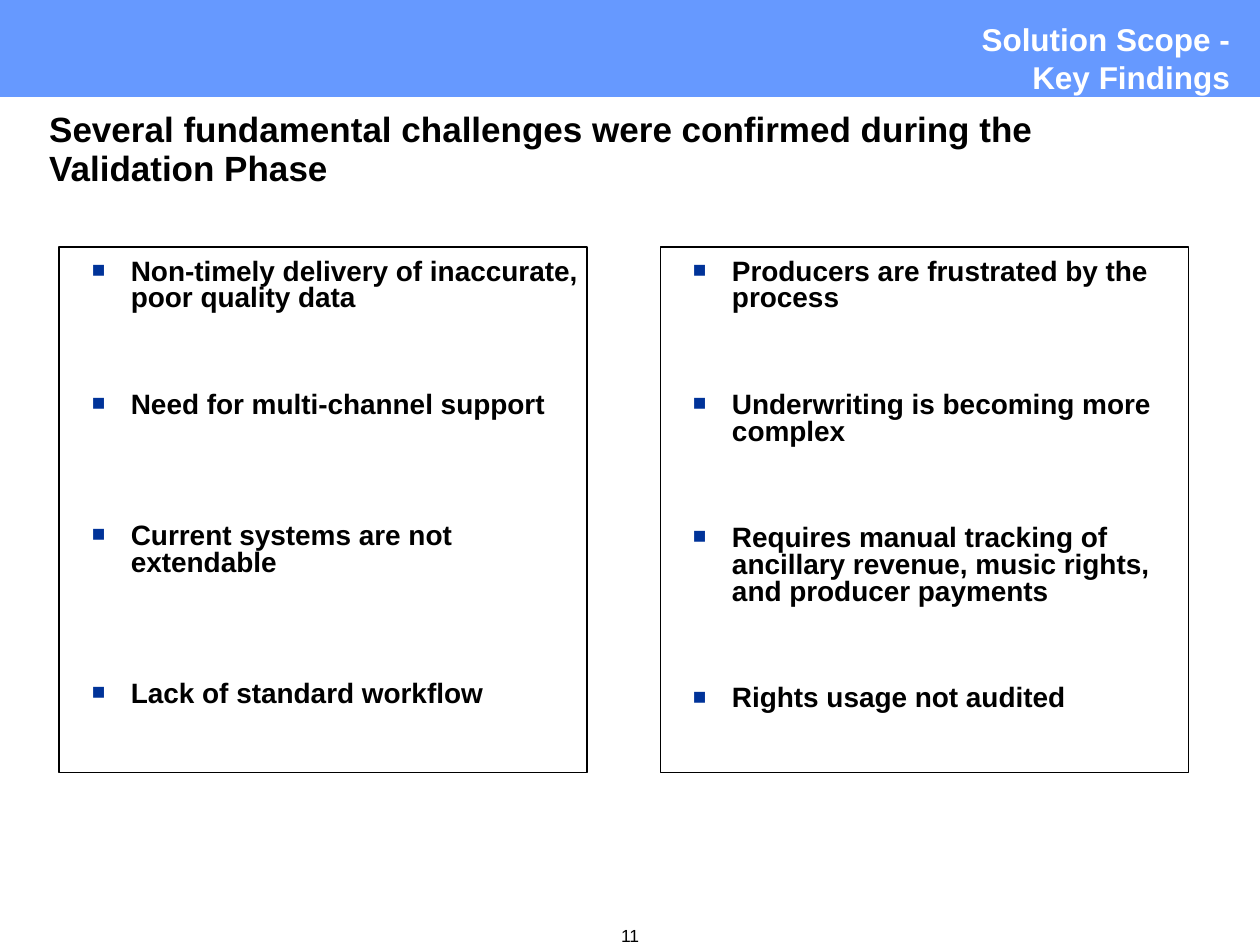
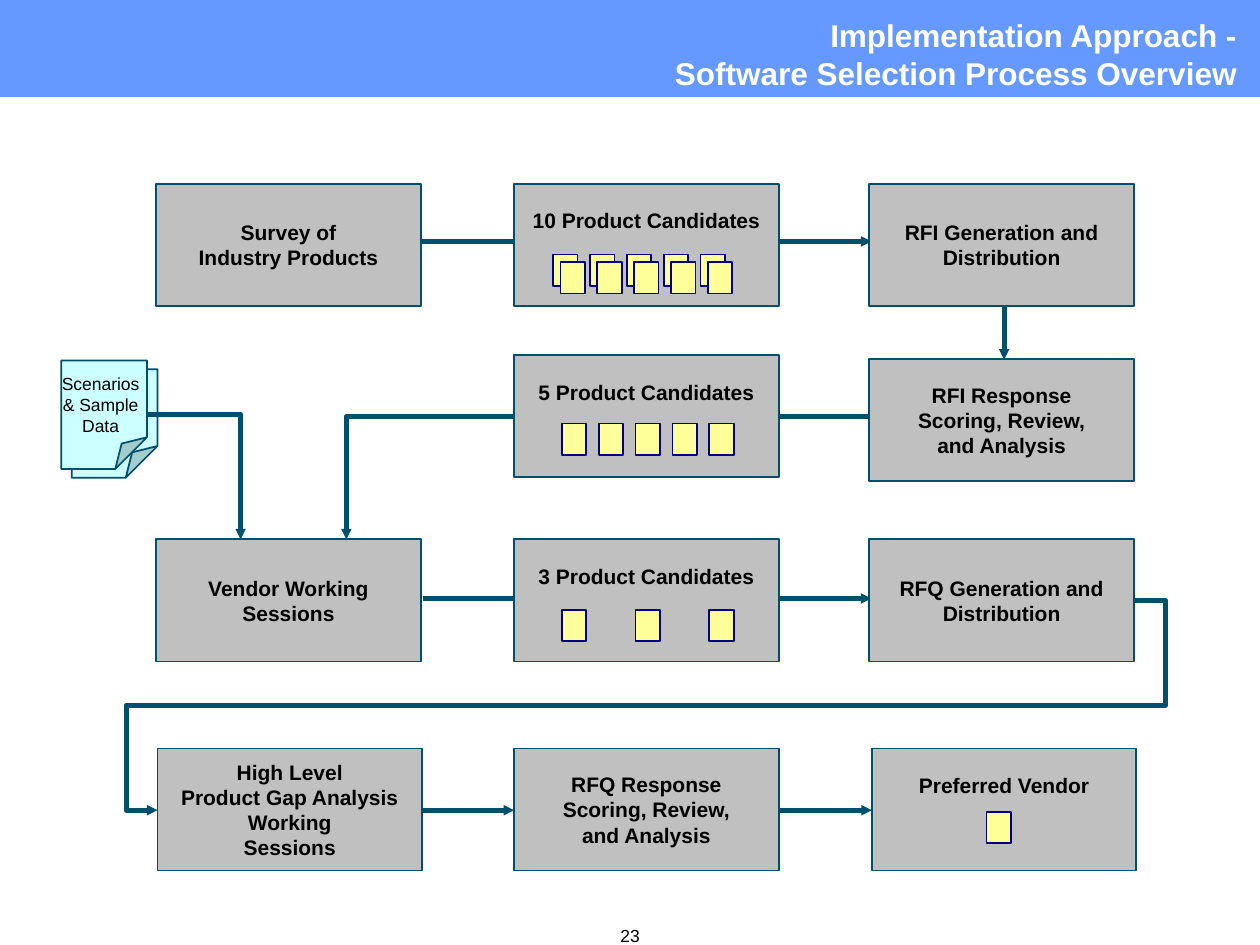
import pptx
import pptx.util
import pptx.dml.color
import pptx.enum.shapes
import pptx.enum.text
import pptx.oxml.ns
import lxml.etree

Pt = pptx.util.Pt
qn = pptx.oxml.ns.qn
RGB = pptx.dml.color.RGBColor.from_string
SHAPE = pptx.enum.shapes.MSO_SHAPE
CONNECTOR = pptx.enum.shapes.MSO_CONNECTOR
ALIGN = pptx.enum.text.PP_ALIGN
ANCHOR = pptx.enum.text.MSO_ANCHOR

COLORS = {
    "band": "6699FF", "heading": "FFFFFF", "text": "000000", "bullet": "003399",
    "step": "C0C0C0", "flow": "004F6D", "note": "CCFFFF",
    "product": "FFFF99", "product edge": "000080",
}
HEADING = {"size": 18, "color": "heading", "align": ALIGN.RIGHT}


def write(shape, lines, size, color="text", align=ALIGN.LEFT, bold=True, spacing=1.0, **frame):
    """Fill a shape with one paragraph per line; frame overrides the text frame settings."""
    text = shape.text_frame
    text.text = "\n".join(lines)
    settings = {
        "word_wrap": True, "auto_size": pptx.enum.text.MSO_AUTO_SIZE.NONE,
        "vertical_anchor": ANCHOR.TOP, "margin_left": Pt(7.2), "margin_right": Pt(7.2),
        "margin_top": Pt(3.6), "margin_bottom": Pt(3.6),
    }
    for name, value in {**settings, **frame}.items():
        setattr(text, name, value)
    for paragraph in text.paragraphs:
        for name, value in {"alignment": align, "line_spacing": spacing,
                            "space_before": Pt(0), "space_after": Pt(0)}.items():
            setattr(paragraph, name, value)
        for run in paragraph.runs:
            for name, value in {"name": "Arial", "size": Pt(size), "bold": bold}.items():
                setattr(run.font, name, value)
            run.font.color.rgb = RGB(COLORS[color])


def add_block(slide, kind, left, top, width, height, fill, edge=None):
    """Add a flat preset shape, outlined when an edge colour is given."""
    block = slide.shapes.add_shape(kind, Pt(left), Pt(top), Pt(width), Pt(height))
    block.shadow.inherit = False
    block.fill.solid()
    block.fill.fore_color.rgb = RGB(COLORS[fill])
    if edge:
        block.line.color.rgb = RGB(COLORS[edge])
        block.line.width = Pt(1)
    else:
        block.line.fill.background()
    return block


prs = pptx.Presentation()
prs.slide_width, prs.slide_height = Pt(720), Pt(540)
findings = prs.slides.add_slide(prs.slide_layouts[3])
process = prs.slides.add_slide(prs.slide_layouts[5])

# Shared parts: the band lives on the master, page numbers on each slide
band = add_block(findings, SHAPE.RECTANGLE, 0, 0, 720, 55.4, "band")
band.element.nvSpPr.cNvPr.set("id", "99")
prs.slide_master.element.cSld.spTree.insert(2, band.element)

for slide, number in ((findings, "11"), (process, "23")):
    page = slide.shapes.add_textbox(Pt(326.2), Pt(524.9), Pt(67.7), Pt(19.4))
    write(page, [number], 10, align=ALIGN.CENTER, bold=False)

# Key findings: section heading and headline
section = findings.shapes.add_textbox(Pt(89.3), Pt(7.9), Pt(630.7), Pt(50.4))
write(section, ["Solution Scope -", "Key Findings"], **HEADING)
section.text_frame.paragraphs[0]._p.get_or_add_pPr().set("marR", str(Pt(10)))

headline = findings.shapes.title
for name, value in {"left": 28.1, "top": 63.4, "width": 661.7, "height": 46}.items():
    setattr(headline, name, Pt(value))
write(headline, ["Several fundamental challenges were confirmed during the Validation Phase"],
      20, spacing=0.93, margin_left=0, margin_right=0, margin_top=0)

# Key findings: two framed lists, each item with its gap above
challenges = [
    (33.8, [("Non-timely delivery of inaccurate, poor quality data", 0),
            ("Need for multi-channel support", 45.4),
            ("Current systems are not extendable", 59.6),
            ("Lack of standard workflow", 59.6)]),
    (377.3, [("Producers are frustrated by the process", 0),
             ("Underwriting is becoming more complex", 45.4),
             ("Requires manual tracking of ancillary revenue, music rights, and producer payments", 45.4),
             ("Rights usage not audited", 45.4)]),
]
for column, (left, items) in zip(list(findings.placeholders)[1:], challenges):
    for name, value in {"left": left, "top": 141.1, "width": 301.7, "height": 300.2}.items():
        setattr(column, name, Pt(value))
    column.line.color.rgb = RGB(COLORS["text"])
    column.line.width = Pt(0.75)
    write(column, [item for item, gap in items], 16, spacing=0.8,
          margin_left=0, margin_right=0, margin_top=Pt(7.2), margin_bottom=Pt(7.2))
    for paragraph, (item, gap) in zip(column.text_frame.paragraphs, items):
        paragraph.space_before = Pt(gap)
        props = paragraph._p.get_or_add_pPr()
        props.set("marL", str(Pt(41)))
        props.set("indent", str(Pt(-22.3)))
        tint = lxml.etree.SubElement(props, qn("a:buClr"))
        lxml.etree.SubElement(tint, qn("a:srgbClr"), val=COLORS["bullet"])
        lxml.etree.SubElement(props, qn("a:buSzPct"), val="80000")
        lxml.etree.SubElement(props, qn("a:buFont"), typeface="Arial")
        lxml.etree.SubElement(props, qn("a:buChar"), char="■")

# Process overview: title in the band
title = process.shapes.title
for name, value in {"left": 23, "top": 5.8, "width": 691, "height": 50.4}.items():
    setattr(title, name, Pt(value))
write(title, ["Implementation Approach -", "Software Selection Process Overview"], **HEADING)

# Scenario documents, with a larger folded corner
for left, top in ((41, 211), (35, 206)):
    document = add_block(process, SHAPE.FOLDED_CORNER, left, top, 49, 62, "note", "flow")
    corner = document.element.spPr.find(qn("a:prstGeom")).get_or_add_avLst()
    for guide in list(corner):
        corner.remove(guide)
    lxml.etree.SubElement(corner, qn("a:gd"), name="adj", fmla="val 37000")

# Flow lines: start, end, arrowhead, preset bend, bend adjustments
flows = [
    ((240.5, 138), (293.8, 138), False, None, ()),
    ((445, 138), (498, 138), True, None, ()),
    ((573.8, 175), (573.8, 205.5), True, None, ()),
    ((496.8, 238), (445, 238), False, None, ()),
    ((293.8, 238), (198, 308.2), True, "bentConnector2", ()),
    ((84.3, 236.8), (137.5, 308.2), True, "bentConnector2", ()),
    ((242, 342), (293.8, 342), False, None, ()),
    ((446, 342), (498, 342), True, None, ()),
    ((648, 343), (90, 463), True, "bentConnector5", (-3226, 50000, 103226)),
    ((241.2, 463), (293.8, 463), True, None, ()),
    ((445, 463), (498.2, 463), True, None, ()),
]
for start, end, arrow, bend, adjustments in flows:
    flow = process.shapes.add_connector(
        CONNECTOR.ELBOW if bend else CONNECTOR.STRAIGHT, *map(Pt, start + end))
    flow.line.color.rgb = RGB(COLORS["flow"])
    flow.line.width = Pt(3)
    props = flow.element.spPr
    if arrow:
        lxml.etree.SubElement(props.find(qn("a:ln")), qn("a:tailEnd"),
                              type="triangle", w="sm", len="sm")
    if bend:
        geometry = props.find(qn("a:prstGeom"))
        geometry.set("prst", bend)
        for index, value in enumerate(adjustments, 1):
            lxml.etree.SubElement(geometry.get_or_add_avLst(), qn("a:gd"),
                                  name=f"adj{index}", fmla=f"val {value}")
    lxml.etree.SubElement(props, qn("a:effectLst"))

# Process steps; steps that hold products keep room below their label
steps = [
    (89.3, 105.1, ["Survey of", "Industry Products"], False),
    (293.8, 105.1, ["10 Product Candidates"], True),
    (496.8, 105.1, ["RFI Generation and", "Distribution"], False),
    (293.8, 203, ["5 Product Candidates"], True),
    (496.8, 205.2, ["RFI Response", "Scoring, Review,", "and Analysis"], False),
    (89.3, 308.2, ["Vendor Working", "Sessions"], False),
    (293.8, 308.2, ["3 Product Candidates"], True),
    (496.8, 308.2, ["RFQ Generation and", "Distribution"], False),
    (90, 427.7, ["High Level", "Product Gap Analysis", "Working", "Sessions"], False),
    (293.8, 427.7, ["RFQ Response", "Scoring, Review,", "and Analysis"], False),
    (498.2, 427.7, ["Preferred Vendor"], True),
]
for left, top, lines, holds_products in steps:
    step = add_block(process, SHAPE.RECTANGLE, left, top, 151.2, 69.8, "step", "flow")
    write(step, lines, 12, align=ALIGN.CENTER, word_wrap=False, vertical_anchor=ANCHOR.MIDDLE,
          margin_bottom=Pt(31.6 if holds_products else 3.6))

# Products still in the running: first left, top, count, step to the next
product_rows = [
    (316.1, 145.4, 5, 21.06), (320.3, 149.8, 5, 21.06),
    (321.1, 242, 5, 21.06), (321.1, 348.5, 3, 42.12), (563.8, 463.9, 1, 0),
]
for left, top, count, pitch in product_rows:
    for index in range(count):
        add_block(process, SHAPE.RECTANGLE, left + index * pitch, top, 14, 18,
                  "product", "product edge")

# Label on the scenario documents
scenarios = process.shapes.add_textbox(Pt(20), Pt(209.5), Pt(75), Pt(43.2))
write(scenarios, ["Scenarios", "& Sample", "Data"], 10, align=ALIGN.CENTER, bold=False)

prs.save("out.pptx")
